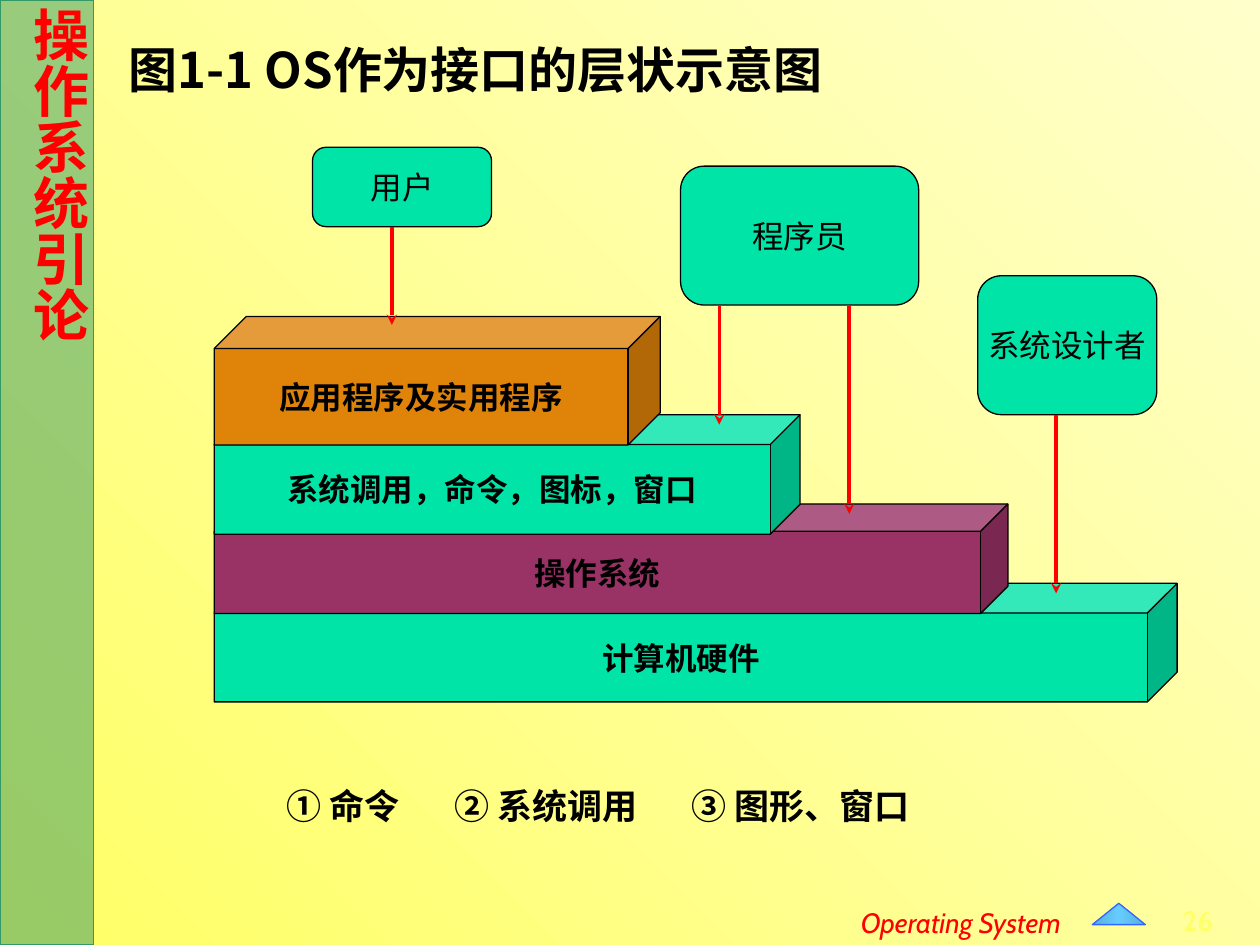
from dataclasses import dataclass

import pptx
import pptx.dml.color
import pptx.enum.dml
import pptx.enum.shapes
import pptx.enum.text
import pptx.oxml
import pptx.oxml.ns
import pptx.util
from copy import deepcopy
from lxml import etree

Cm = pptx.util.Cm
Pt = pptx.util.Pt
RGBColor = pptx.dml.color.RGBColor
Shape = pptx.enum.shapes.MSO_SHAPE
Align = pptx.enum.text.PP_ALIGN
Anchor = pptx.enum.text.MSO_ANCHOR
qn = pptx.oxml.ns.qn

BLACK = RGBColor(0x00, 0x00, 0x00)
RED = RGBColor(0xFF, 0x00, 0x00)
YELLOW = RGBColor(0xFF, 0xFF, 0x66)
PALE_YELLOW = RGBColor(0xFF, 0xFF, 0xCC)
FOREST = RGBColor(0x33, 0x99, 0x66)
MINT = RGBColor(0x00, 0xE4, 0xA8)
PLUM = RGBColor(0x99, 0x33, 0x66)
ORANGE = RGBColor(0xDF, 0x83, 0x09)
SKY = RGBColor(0x66, 0xCC, 0xFF)
DEEP_SKY = RGBColor(0x57, 0xAE, 0xDA)
BLUE = RGBColor(0x33, 0x66, 0xFF)
CJK_FONT = "Noto Sans CJK SC"


@dataclass
class Box:
    left: float
    top: float
    width: float
    height: float

    def lengths(self) -> tuple:
        return Cm(self.left), Cm(self.top), Cm(self.width), Cm(self.height)


@dataclass
class Block:
    """A labelled layer (cube) or role (rounded rectangle)."""
    label: str
    box: Box
    fill: RGBColor = MINT


@dataclass
class Arrow:
    x: float
    top: float
    bottom: float


STACK_LEFT = 4.32
LAYERS = [
    Block("计算机硬件", Box(STACK_LEFT, 11.76, 19.41, 2.39)),
    Block("操作系统", Box(STACK_LEFT, 10.16, 16, 2.21), PLUM),
    Block("系统调用，命令，图标，窗口", Box(STACK_LEFT, 8.36, 11.81, 2.41)),
    Block("应用程序及实用程序", Box(STACK_LEFT, 6.38, 8.99, 2.59), ORANGE),
]
ROLES = [
    Block("系统设计者", Box(19.71, 5.56, 3.61, 2.8)),
    Block("程序员", Box(13.72, 3.35, 4.8, 2.8)),
    Block("用户", Box(6.3, 2.97, 3.61, 1.6)),
]
ARROWS = [
    Arrow(21.29, 8.36, 11.96),
    Arrow(17.12, 6.17, 10.36),
    Arrow(14.5, 6.17, 8.56),
    Arrow(7.9, 4.57, 6.55),
]
INTERFACES = ["① 命令", "② 系统调用", "③ 图形、窗口"]
INTERFACE_TABS = [3.38, 8.16]


def apply(target, formats: dict) -> None:
    for name, value in formats.items():
        setattr(target, name, value)


def write(shape, text: str, size: int, color: RGBColor = BLACK, align=Align.CENTER,
          frame: dict | None = None, **font):
    """Put one formatted paragraph into the shape and return it."""
    text_frame = shape.text_frame
    apply(text_frame, {"word_wrap": True, "vertical_anchor": Anchor.MIDDLE,
                       "auto_size": pptx.enum.text.MSO_AUTO_SIZE.NONE, **(frame or {})})
    paragraph = text_frame.paragraphs[0]
    paragraph.alignment = align
    run = paragraph.add_run()
    run.text = text
    apply(run.font, {"name": "Arial", "size": Pt(size), **font})
    run.font.color.rgb = color
    east_asian = etree.SubElement(run.font._element, qn("a:ea"))
    east_asian.set("typeface", CJK_FONT)
    return paragraph


def add_outlined(slide, kind, box: Box, fill: RGBColor, line: RGBColor = BLACK):
    shape = slide.shapes.add_shape(kind, *box.lengths())
    shape.shadow.inherit = False
    shape.fill.solid()
    shape.fill.fore_color.rgb = fill
    shape.line.color.rgb = line
    shape.line.width = Pt(0.75)
    return shape


def add_block(slide, block: Block, kind, adjustment: float, bold: bool) -> None:
    shape = add_outlined(slide, kind, block.box, block.fill)
    shape.adjustments[0] = adjustment
    write(shape, block.label, 18, frame={"word_wrap": False}, bold=bold)


def add_arrow(slide, arrow: Arrow) -> None:
    connector = slide.shapes.add_connector(
        pptx.enum.shapes.MSO_CONNECTOR.STRAIGHT,
        Cm(arrow.x), Cm(arrow.top), Cm(arrow.x), Cm(arrow.bottom))
    connector.line.color.rgb = RED
    connector.line.width = Pt(2)
    etree.SubElement(connector.line._get_or_add_ln(), qn("a:tailEnd")).set("type", "stealth")
    etree.SubElement(connector._element.spPr, qn("a:effectLst"))


def set_gradient(fill, colors: list[RGBColor], angle: int) -> None:
    """Spread the colours evenly over a linear gradient."""
    fill.gradient()
    fill.gradient_angle = angle
    stops = fill.gradient_stops
    while len(stops) < len(colors):
        last = stops[len(stops) - 1]._gs
        last.addnext(deepcopy(last))
        stops = fill.gradient_stops
    for index, (stop, color) in enumerate(zip(stops, colors)):
        stop.color.rgb = color
        stop.position = index / (len(colors) - 1)


def add_sidebar(slide) -> None:
    sidebar = add_outlined(slide, Shape.RECTANGLE, Box(0, 0, 1.88, 19.05), FOREST, FOREST)
    color = sidebar._element.spPr.find(qn("a:solidFill"))[0]
    etree.SubElement(color, qn("a:alpha")).set("val", "50000")
    write(sidebar, "操作系统引论", 32, RED, Align.LEFT,
          {"vertical_anchor": Anchor.TOP, "margin_right": 0, "margin_top": Cm(0.15)},
          name="Cabin", bold=True)
    sidebar.text_frame._txBody.bodyPr.set("vert", "eaVert")


def add_interfaces(slide) -> None:
    caption = slide.shapes.add_textbox(*Box(5.28, 15.44, 15.67, 1.42).lengths())
    paragraph = write(caption, "\t".join(INTERFACES), 20, align=Align.LEFT,
                      frame={"vertical_anchor": Anchor.TOP, "margin_left": Cm(0.5),
                             "margin_top": Cm(0.2), "margin_bottom": 0},
                      name="Times New Roman", bold=True)
    paragraph.line_spacing = 1.2
    tabs = etree.SubElement(paragraph._p.get_or_add_pPr(), qn("a:tabLst"))
    for position in INTERFACE_TABS:
        tab = etree.SubElement(tabs, qn("a:tab"))
        tab.set("pos", str(Cm(position)))
        tab.set("algn", "l")


def add_footer(slide) -> None:
    course = slide.shapes.add_textbox(*Box(16.51, 17.78, 5.72, 1.27).lengths())
    write(course, "Operating System", 16, RED, frame={"vertical_anchor": Anchor.BOTTOM},
          name="Cabin", italic=True)
    marker = add_outlined(slide, Shape.ISOSCELES_TRIANGLE,
                          Box(22.02, 18.21, 1.07, 0.43), SKY, BLUE)
    set_gradient(marker.fill, [DEEP_SKY, SKY, DEEP_SKY], 0)
    page = slide.shapes.add_textbox(*Box(23.25, 18.05, 1.8, 1).lengths())
    write(page, "26", 16, YELLOW, name="Cabin", bold=True)


def main() -> None:
    deck = pptx.Presentation()
    deck.slide_width, deck.slide_height = Cm(25.4), Cm(19.05)
    slide = deck.slides.add_slide(deck.slide_layouts[5])
    set_gradient(slide.background.fill, [YELLOW, PALE_YELLOW], 45)

    title = slide.shapes.title
    title.left, title.top, title.width, title.height = Box(1.9, 0.66, 22.94, 1.45).lengths()
    write(title, "图1-1 OS作为接口的层状示意图", 28, align=Align.LEFT,
          frame={"margin_left": Cm(0.7)}, name=CJK_FONT, bold=True)

    add_sidebar(slide)
    for layer in LAYERS:
        add_block(slide, layer, Shape.CUBE, 0.25, bold=True)
    for role in ROLES:
        add_block(slide, role, Shape.ROUNDED_RECTANGLE, 0.17, bold=False)
    for arrow in ARROWS:
        add_arrow(slide, arrow)
    add_interfaces(slide)
    add_footer(slide)
    deck.save("out.pptx")


if __name__ == "__main__":
    main()
